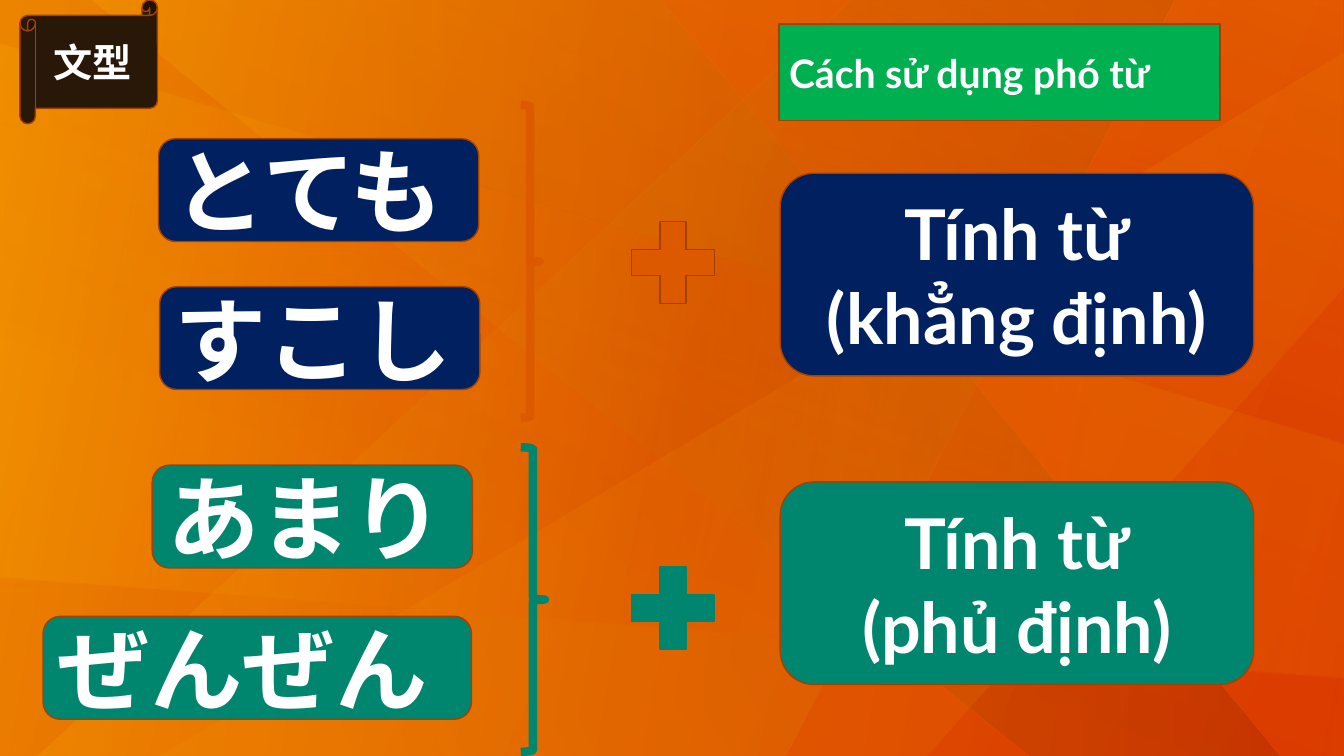
from typing import NamedTuple

from lxml.etree import SubElement as Sub
from pptx import Presentation
from pptx.dml.color import RGBColor as Rgb
from pptx.enum.shapes import MSO_SHAPE as Geo
from pptx.enum.text import MSO_ANCHOR as Anchor, PP_ALIGN as Align
from pptx.oxml.ns import qn
from pptx.util import Pt

PX = 9525
WIDE, HIGH = 1280, 720
FONT = "Lato"

WHITE = Rgb(0xFF, 0xFF, 0xFF)
GOLD = Rgb(0xFF, 0xB9, 0x00)
ORANGE = Rgb(0xDD, 0x59, 0x00)
RED = Rgb(0xDC, 0x3C, 0x00)
RUST = Rgb(0xA6, 0x43, 0x00)
EDGE = Rgb(0xA3, 0x42, 0x00)
BROWN = Rgb(0x6E, 0x1E, 0x00)
DARK = Rgb(0x29, 0x17, 0x08)
NAVY = Rgb(0x00, 0x20, 0x60)
TEAL = Rgb(0x00, 0x85, 0x6F)
GREEN = Rgb(0x00, 0xB0, 0x50)


class Stop(NamedTuple):
    pos: int
    color: Rgb
    alpha: int = 100


class Facet(NamedTuple):
    points: list[tuple[int, int]]
    stops: list[Stop]
    angle: int = 0


class Box(NamedTuple):
    geo: Geo
    x: int
    y: int
    w: int
    h: int
    fill: Rgb
    lines: tuple[str, ...] = ()
    size: int = 28
    align: Align = Align.LEFT
    edge: Rgb = EDGE


class Brace(NamedTuple):
    x: int
    y: int
    w: int
    h: int
    color: Rgb


FRAME = [(0, 0), (WIDE, 0), (WIDE, HIGH), (0, HIGH)]

FACETS = [
    Facet([(629, 0), (87, 0), (980, 720), (1219, 720)],
          [Stop(0, GOLD, 25), Stop(100, BROWN, 20)]),
    Facet([(1119, 0), (811, 0), (36, 720), (748, 720), (1092, 53)],
          [Stop(0, GOLD, 20), Stop(100, RUST, 30)], 330),
    Facet([(0, 42), (0, 550), (1280, 646), (1280, 423)],
          [Stop(0, GOLD, 20), Stop(52, RED, 30), Stop(100, GOLD, 10)], 11),
    Facet([(1280, 50), (152, 720), (883, 720), (1280, 274)],
          [Stop(0, GOLD, 10)]),
    Facet(FRAME, [Stop(0, GOLD, 50), Stop(100, RED, 0)], 10),
    Facet(FRAME, [Stop(0, GOLD, 20), Stop(67, RED, 0)], 110),
]


def word(x: int, y: int, w: int, fill: Rgb, text: str) -> Box:
    return Box(Geo.ROUNDED_RECTANGLE, x, y, w, 98, fill, (text,), 66)


def rule(y: int, fill: Rgb, form: str) -> Box:
    return Box(Geo.ROUNDED_RECTANGLE, 743, y, 451, 193, fill,
               ("Tính từ", form), 50, Align.CENTER)


def plus(y: int, fill: Rgb, edge: Rgb) -> Box:
    return Box(Geo.MATH_PLUS, 587, y, 108, 106, fill, edge=edge)


BOXES = [
    Box(Geo.HORIZONTAL_SCROLL, 19, 0, 131, 118, DARK, ("文型",), align=Align.CENTER),
    Box(Geo.RECTANGLE, 742, 23, 420, 92, GREEN, ("Cách sử dụng phó từ",)),
    word(151, 132, 305, NAVY, "とても"),
    word(152, 273, 305, NAVY, "すこし"),
    word(145, 443, 305, TEAL, "あまり"),
    word(41, 587, 408, TEAL, "ぜんぜん"),
    plus(197, ORANGE, EDGE),
    plus(526, TEAL, TEAL),
    rule(165, NAVY, "(khẳng định)"),
    rule(459, TEAL, "(phủ định)"),
]

BRACES = [
    Brace(496, 100, 18, 298, ORANGE),
    Brace(496, 426, 23, 290, TEAL),
]


def tint(node, stop: Stop) -> None:
    color = Sub(node, qn("a:srgbClr"), val=str(stop.color))
    if stop.alpha < 100:
        Sub(color, qn("a:alpha"), val=str(stop.alpha * 1000))


def shade(fill, root, stops: list[Stop], angle: int) -> None:
    if len(stops) == 1:
        fill.solid()
        fill.fore_color.rgb = stops[0].color
        node = next(root.iter(qn("a:solidFill")))
        node.clear()
        tint(node, stops[0])
        return
    fill.gradient()
    node = next(root.iter(qn("a:gradFill")))
    node.clear()
    group = Sub(node, qn("a:gsLst"))
    for stop in stops:
        tint(Sub(group, qn("a:gs"), pos=str(stop.pos * 1000)), stop)
    Sub(node, qn("a:lin"), ang=str(angle * 60000), scaled="0")


def draw_facet(shapes, facet: Facet) -> None:
    first, *rest = facet.points
    pen = shapes.build_freeform(*first, scale=PX)
    pen.add_line_segments(rest, close=True)
    shape = pen.convert_to_shape()
    shape.shadow.inherit = False
    shape.line.fill.background()
    shade(shape.fill, shape.element.spPr, facet.stops, facet.angle)


def place(shapes, geo: Geo, x: int, y: int, w: int, h: int, edge: Rgb, weight: int):
    shape = shapes.add_shape(geo, x * PX, y * PX, w * PX, h * PX)
    shape.shadow.inherit = False
    shape.line.color.rgb = edge
    shape.line.width = Pt(weight)
    return shape


def draw_box(shapes, box: Box) -> None:
    shape = place(shapes, box.geo, box.x, box.y, box.w, box.h, box.edge, 1)
    shape.fill.solid()
    shape.fill.fore_color.rgb = box.fill
    frame = shape.text_frame
    frame.vertical_anchor = Anchor.MIDDLE
    for i, line in enumerate(box.lines):
        para = frame.add_paragraph() if i else frame.paragraphs[0]
        para.alignment = box.align
        run = para.add_run()
        run.text = line
        font = run.font
        font.name = FONT
        font.size = Pt(box.size)
        font.bold = True
        font.color.rgb = WHITE


def draw_brace(shapes, brace: Brace) -> None:
    shape = place(shapes, Geo.RIGHT_BRACE, brace.x, brace.y, brace.w, brace.h,
                  brace.color, 6)
    shape.fill.background()


def main() -> None:
    deck = Presentation()
    deck.slide_width, deck.slide_height = WIDE * PX, HIGH * PX
    slide = deck.slides.add_slide(deck.slide_layouts[6])
    shade(slide.background.fill, slide.element,
          [Stop(0, ORANGE), Stop(100, RED)], 24)
    for facet in FACETS:
        draw_facet(slide.shapes, facet)
    for box in BOXES:
        draw_box(slide.shapes, box)
    for brace in BRACES:
        draw_brace(slide.shapes, brace)
    deck.save("out.pptx")


if __name__ == "__main__":
    main()
